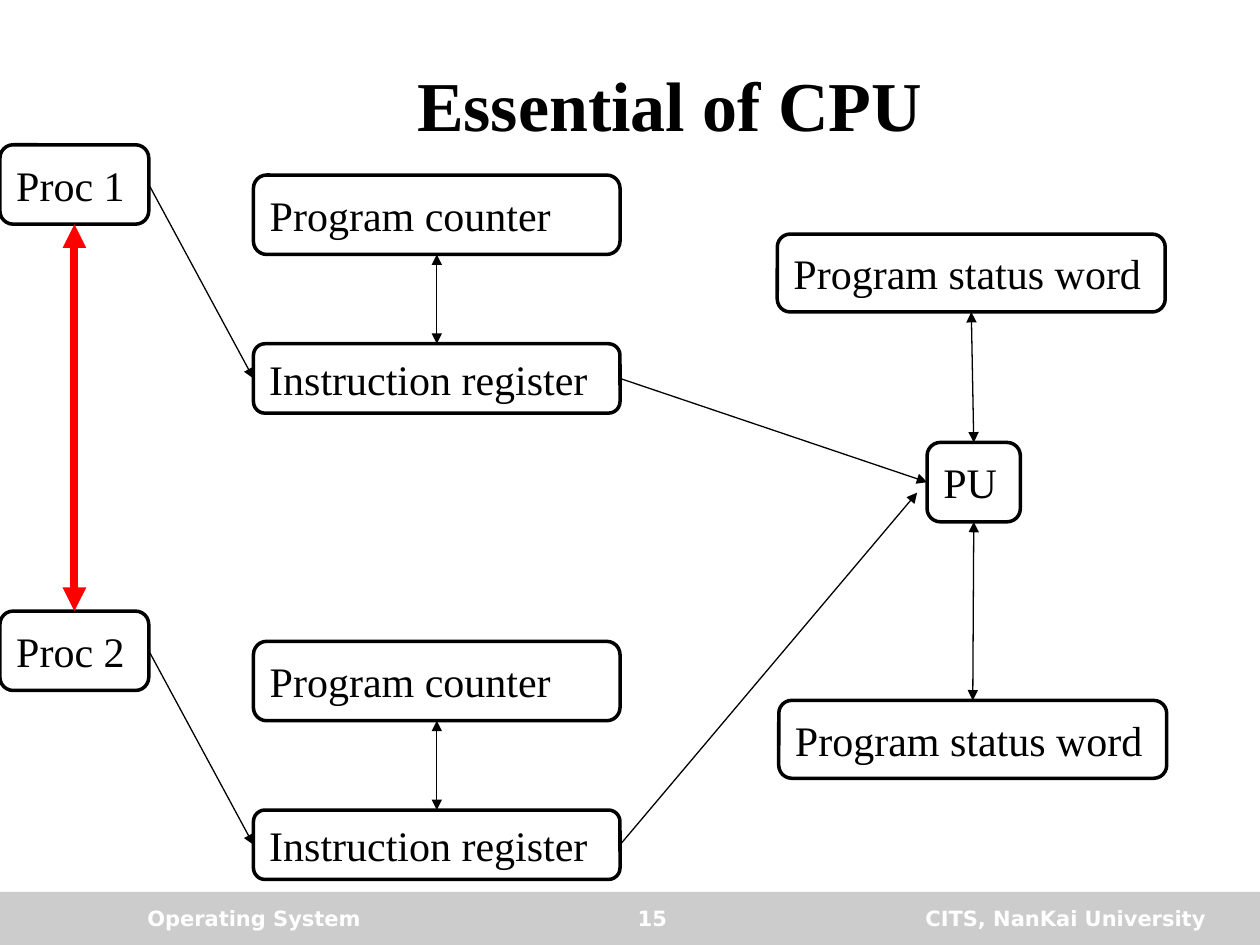
from dataclasses import dataclass
from typing import Any

from lxml.etree import SubElement
from pptx import Presentation
from pptx.dml.color import RGBColor
from pptx.enum.shapes import MSO_CONNECTOR, MSO_SHAPE
from pptx.enum.text import MSO_ANCHOR, PP_ALIGN
from pptx.oxml.ns import qn
from pptx.util import Cm, Pt

TOP, LEFT, BOTTOM, RIGHT = range(4)


def color(code):
    return RGBColor.from_string(code)


@dataclass
class Deck:
    """Holds the style and the current slide, and draws each kind of element."""

    slide: Any
    ink: str = "000000"
    paper: str = "FFFFFF"
    gray: str = "CCCCCC"
    red: str = "FF0000"
    serif: str = "Times New Roman"
    sans: str = "DejaVu Sans"

    def letter(self, shape, text, hue, align=PP_ALIGN.LEFT, **form):
        frame = shape.text_frame
        frame.word_wrap = True
        frame.vertical_anchor = MSO_ANCHOR.MIDDLE
        para = frame.paragraphs[0]
        para.alignment = align
        run = para.add_run()
        run.text = text
        run.font.color.rgb = color(hue)
        for key, value in form.items():
            setattr(run.font, key, value)

    def label(self, text, area, hue, align, **form):
        box = self.slide.shapes.add_textbox(*map(Cm, area))
        self.letter(box, text, hue, align, bold=True, **form)

    def shape(self, kind, area, fill):
        item = self.slide.shapes.add_shape(kind, *map(Cm, area))
        item.shadow.inherit = False
        item.fill.solid()
        item.fill.fore_color.rgb = color(fill)
        return item

    def bar(self, area):
        self.shape(MSO_SHAPE.RECTANGLE, area, self.gray).line.fill.background()

    def node(self, text, *area):
        item = self.shape(MSO_SHAPE.ROUNDED_RECTANGLE, area, self.paper)
        item.line.color.rgb = color(self.ink)
        item.line.width = Pt(2)
        self.letter(item, text, self.ink, size=Pt(24), name=self.serif)
        return item

    def arrow(self, start, end, both=False, hue=None, width=0.75):
        link = self.slide.shapes.add_connector(MSO_CONNECTOR.STRAIGHT, 0, 0, 0, 0)
        link.begin_connect(*start)
        if isinstance(end[0], float):
            link.end_x, link.end_y = map(Cm, end)
        else:
            link.end_connect(*end)
        link.line.color.rgb = color(hue or self.ink)
        link.line.width = Pt(width)
        props = link._element.spPr
        line = props.find(qn("a:ln"))
        for tip in ("a:headEnd", "a:tailEnd") if both else ("a:tailEnd",):
            SubElement(line, qn(tip), type="triangle")
        SubElement(props, qn("a:effectLst"))


def main():
    show = Presentation()
    show.slide_width, show.slide_height = Cm(25.4), Cm(19.05)
    deck = Deck(show.slides.add_slide(show.slide_layouts[6]))

    deck.bar((0, 17.98, 25.4, 1.07))
    deck.label("Essential of CPU", (2.69, 0.84, 21.62, 2.49), deck.ink,
               PP_ALIGN.CENTER, size=Pt(40), name=deck.serif)
    for text, left, width, align in (
        ("Operating System", 2.72, 6.98, PP_ALIGN.LEFT),
        ("CITS, NanKai University", 16.51, 8.05, PP_ALIGN.RIGHT),
        ("15", 10.19, 5.92, PP_ALIGN.CENTER),
    ):
        deck.label(text, (left, 18.08, width, 0.84), deck.paper, align,
                   size=Pt(12), name=deck.sans)

    unit = deck.node("PU", 18.69, 8.92, 1.88, 1.6)
    procs, words, regs = [], [], []
    for index, drop in enumerate((0, 9.4)):
        proc = deck.node(f"Proc {index + 1}", 0, 2.92 + drop, 3, 1.6)
        reg = deck.node("Instruction register", 5.11, 6.93 + drop, 7.39, 1.4)
        count = deck.node("Program counter", 5.11, 3.53 + drop, 7.39, 1.6)
        word = deck.node("Program status word", 15.67 + 0.03 * index,
                         4.72 + drop, 7.82, 1.57)
        deck.arrow((proc, RIGHT), (reg, LEFT))
        deck.arrow((reg, TOP), (count, BOTTOM), both=True)
        procs.append(proc)
        words.append(word)
        regs.append(reg)

    deck.arrow((regs[0], RIGHT), (unit, LEFT))
    deck.arrow((regs[1], RIGHT), (18.49, 9.93))
    deck.arrow((unit, TOP), (words[0], BOTTOM), both=True)
    deck.arrow((unit, BOTTOM), (words[1], TOP), both=True)
    deck.arrow((procs[0], BOTTOM), (procs[1], TOP), both=True,
               hue=deck.red, width=4.5)
    show.save("out.pptx")


if __name__ == "__main__":
    main()
